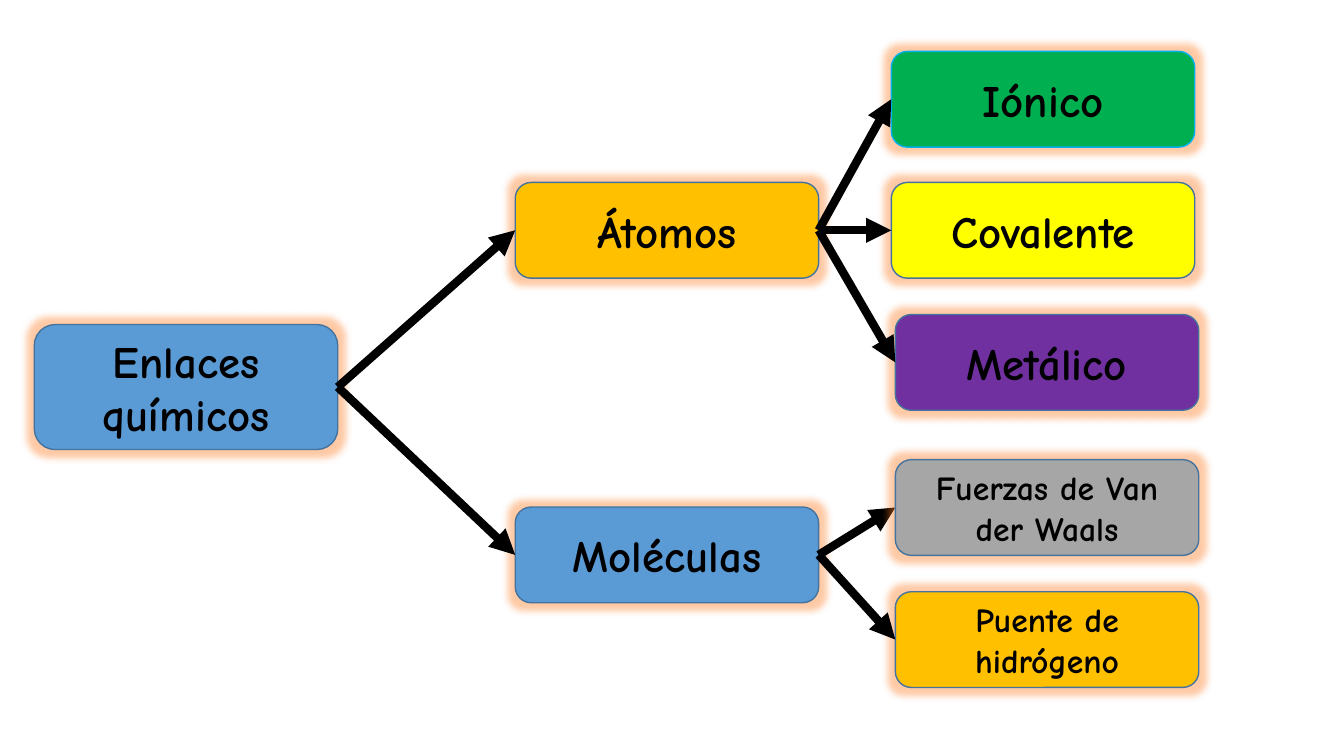
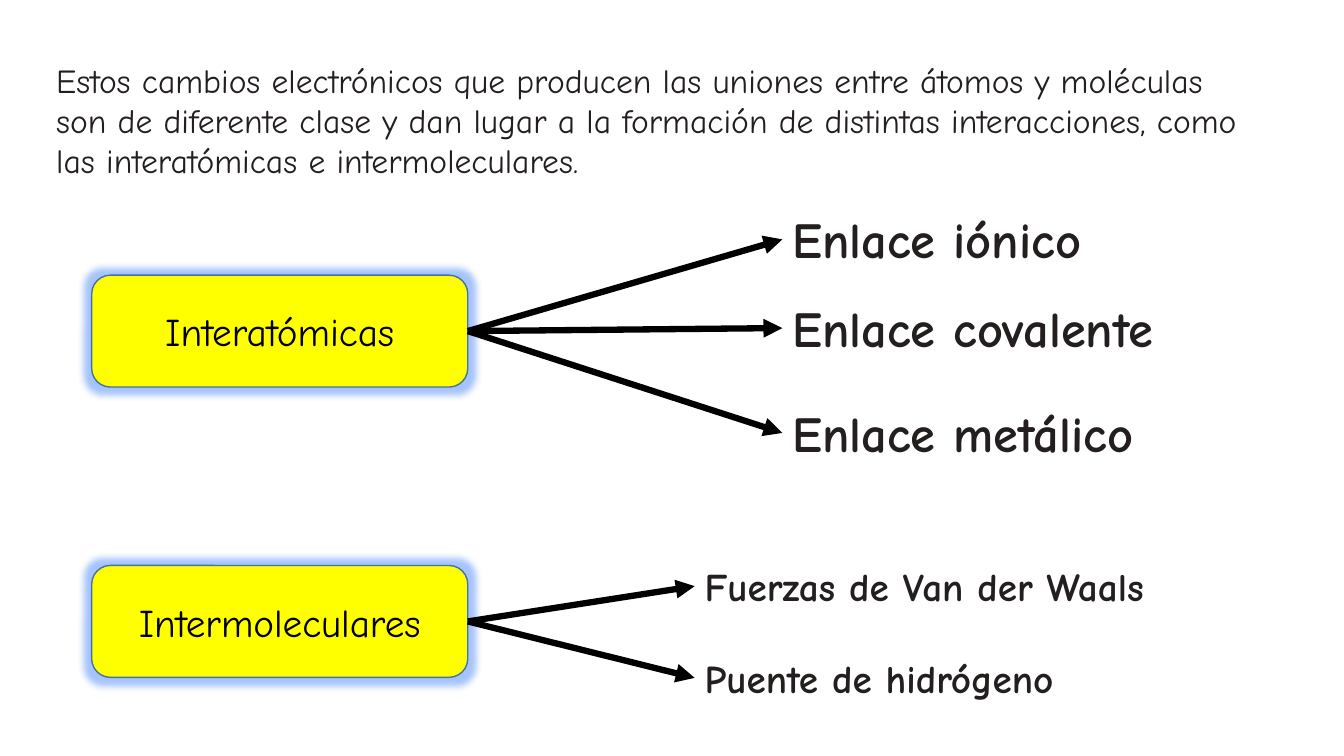
import pptx
import pptx.util
import pptx.dml.color
import pptx.enum.shapes
import pptx.enum.text
import lxml.etree
from pptx.util import Inches

RGBColor = pptx.dml.color.RGBColor
BLACK = RGBColor(0x00, 0x00, 0x00)
INK = RGBColor(0x24, 0x1F, 0x1F)
BLUE = RGBColor(0x5B, 0x9B, 0xD5)
OUTLINE = RGBColor(0x43, 0x73, 0x9E)
SKY = RGBColor(0x00, 0xB0, 0xF0)
GREEN = RGBColor(0x00, 0xB0, 0x50)
YELLOW = RGBColor(0xFF, 0xFF, 0x00)
PURPLE = RGBColor(0x70, 0x30, 0xA0)
AMBER = RGBColor(0xFF, 0xC0, 0x00)
GRAY = RGBColor(0xA6, 0xA6, 0xA6)
ORANGE_GLOW = RGBColor(0xFF, 0x7A, 0x1F)
BLUE_GLOW = RGBColor(0x1E, 0x69, 0xFA)


class Deck:
    """Holds the style and the current slide of the chemical bond diagrams."""

    font = "Comic Neue"
    namespace = "http://schemas.openxmlformats.org/drawingml/2006/main"
    right_site = 3
    left_site = 1

    def __init__(self):
        self.presentation = pptx.Presentation()
        self.presentation.slide_width = Inches(13.33)
        self.presentation.slide_height = Inches(7.5)
        self.slide = None
        self.glow = None
        self.arrow_weight = None

    def start_slide(self, glow, arrow_weight):
        self.slide = self.presentation.slides.add_slide(self.presentation.slide_layouts[6])
        self.glow = glow
        self.arrow_weight = arrow_weight

    def child(self, parent, tag, **attributes):
        return lxml.etree.SubElement(parent, f"{{{self.namespace}}}{tag}", **attributes)

    def add_text(self, paragraph, text, size, color, bold):
        run = paragraph.add_run()
        run.text = text
        run.font.name = self.font
        run.font.size = pptx.util.Pt(size)
        run.font.bold = bold
        run.font.color.rgb = color

    def box(self, text, left, top, width, height, fill, size, bold=True, outline=OUTLINE):
        shape = self.slide.shapes.add_shape(
            pptx.enum.shapes.MSO_SHAPE.ROUNDED_RECTANGLE,
            Inches(left), Inches(top), Inches(width), Inches(height))
        shape.fill.solid()
        shape.fill.fore_color.rgb = fill
        shape.line.color.rgb = outline
        shape.line.width = pptx.util.Pt(1)
        shape.shadow.inherit = False
        effects = shape.element.spPr.find(f"{{{self.namespace}}}effectLst")
        glow = self.child(effects, "glow", rad=str(Inches(0.14)))
        color = self.child(glow, "srgbClr", val=str(self.glow))
        self.child(color, "alpha", val="40000")
        frame = shape.text_frame
        frame.word_wrap = True
        frame.vertical_anchor = pptx.enum.text.MSO_ANCHOR.MIDDLE
        frame.paragraphs[0].alignment = pptx.enum.text.PP_ALIGN.CENTER
        self.add_text(frame.paragraphs[0], text, size, BLACK, bold)
        return shape

    def text(self, lines, left, top, width, height, size, bold=True):
        shape = self.slide.shapes.add_textbox(
            Inches(left), Inches(top), Inches(width), Inches(height))
        frame = shape.text_frame
        frame.word_wrap = True
        frame.auto_size = pptx.enum.text.MSO_AUTO_SIZE.SHAPE_TO_FIT_TEXT
        for index, line in enumerate(lines):
            paragraph = frame.add_paragraph() if index else frame.paragraphs[0]
            self.add_text(paragraph, line, size, INK, bold)
        return shape

    def arrow(self, source, target, behind=False):
        connector = self.slide.shapes.add_connector(
            pptx.enum.shapes.MSO_CONNECTOR.STRAIGHT, 0, 0, 0, 0)
        connector.begin_connect(source, self.right_site)
        connector.end_connect(target, self.left_site)
        connector.line.color.rgb = BLACK
        connector.line.width = pptx.util.Pt(self.arrow_weight)
        properties = connector.element.spPr
        self.child(properties.find(f"{{{self.namespace}}}ln"), "tailEnd", type="triangle")
        self.child(properties, "effectLst")
        if behind:
            target.element.addprevious(connector.element)


def build_bond_tree(deck):
    deck.start_slide(ORANGE_GLOW, 6)
    width, height = 3.01, 0.95
    root = deck.box("Enlaces químicos", 0.34, 3.22, width, 1.24, BLUE, 32)
    atoms = deck.box("Átomos", 5.11, 1.81, width, height, AMBER, 32)
    molecules = deck.box("Moléculas", 5.11, 5.03, width, height, BLUE, 32)
    for branch in (atoms, molecules):
        deck.arrow(root, branch)
    leaves = [
        (atoms, "Iónico", 8.84, 0.51, GREEN, 32, SKY),
        (atoms, "Covalente", 8.84, 1.81, YELLOW, 32, OUTLINE),
        (atoms, "Metálico", 8.88, 3.12, PURPLE, 32, OUTLINE),
        (molecules, "Fuerzas de Van der Waals", 8.88, 4.56, GRAY, 24, OUTLINE),
        (molecules, "Puente de hidrógeno", 8.88, 5.87, AMBER, 24, OUTLINE),
    ]
    for branch, text, left, top, fill, size, outline in leaves:
        leaf = deck.box(text, left, top, width, height, fill, size, outline=outline)
        deck.arrow(branch, leaf, behind=fill == GRAY)


def build_interactions(deck):
    deck.start_slide(BLUE_GLOW, 4.5)
    deck.text([
        "Estos cambios electrónicos que producen las uniones entre átomos y moléculas",
        "son de diferente clase y dan lugar a la formación de distintas interacciones, "
        "como las interatómicas e intermoleculares.",
    ], 0.46, 0.54, 12.37, 1.31, 24, bold=False)
    groups = [
        ("Interatómicas", 2.73, 7.76, 4.2, 0.71, 36,
         [("Enlace iónico", 2.02), ("Enlace covalente", 2.9), ("Enlace metálico", 3.94)]),
        ("Intermoleculares", 5.61, 6.89, 5.69, 0.57, 28,
         [("Fuerzas de Van der Waals", 5.53), ("Puente de hidrógeno", 6.44)]),
    ]
    for name, box_top, left, width, height, size, bonds in groups:
        group = deck.box(name, 0.91, box_top, 3.73, 1.11, YELLOW, 28, bold=False)
        for bond, top in bonds:
            deck.arrow(group, deck.text([bond], left, top, width, height, size))


def main():
    deck = Deck()
    build_bond_tree(deck)
    build_interactions(deck)
    deck.presentation.save("out.pptx")


if __name__ == "__main__":
    main()
